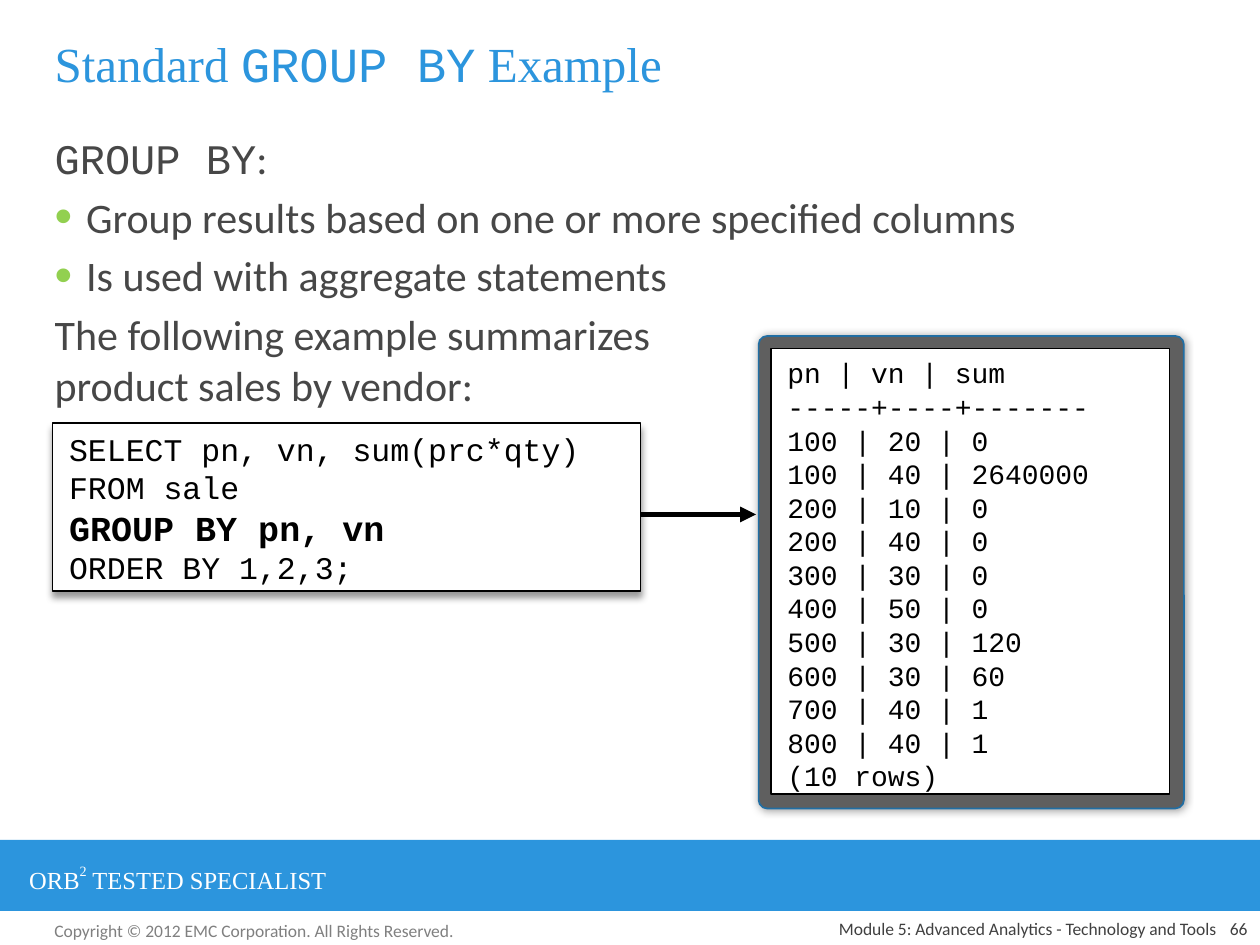
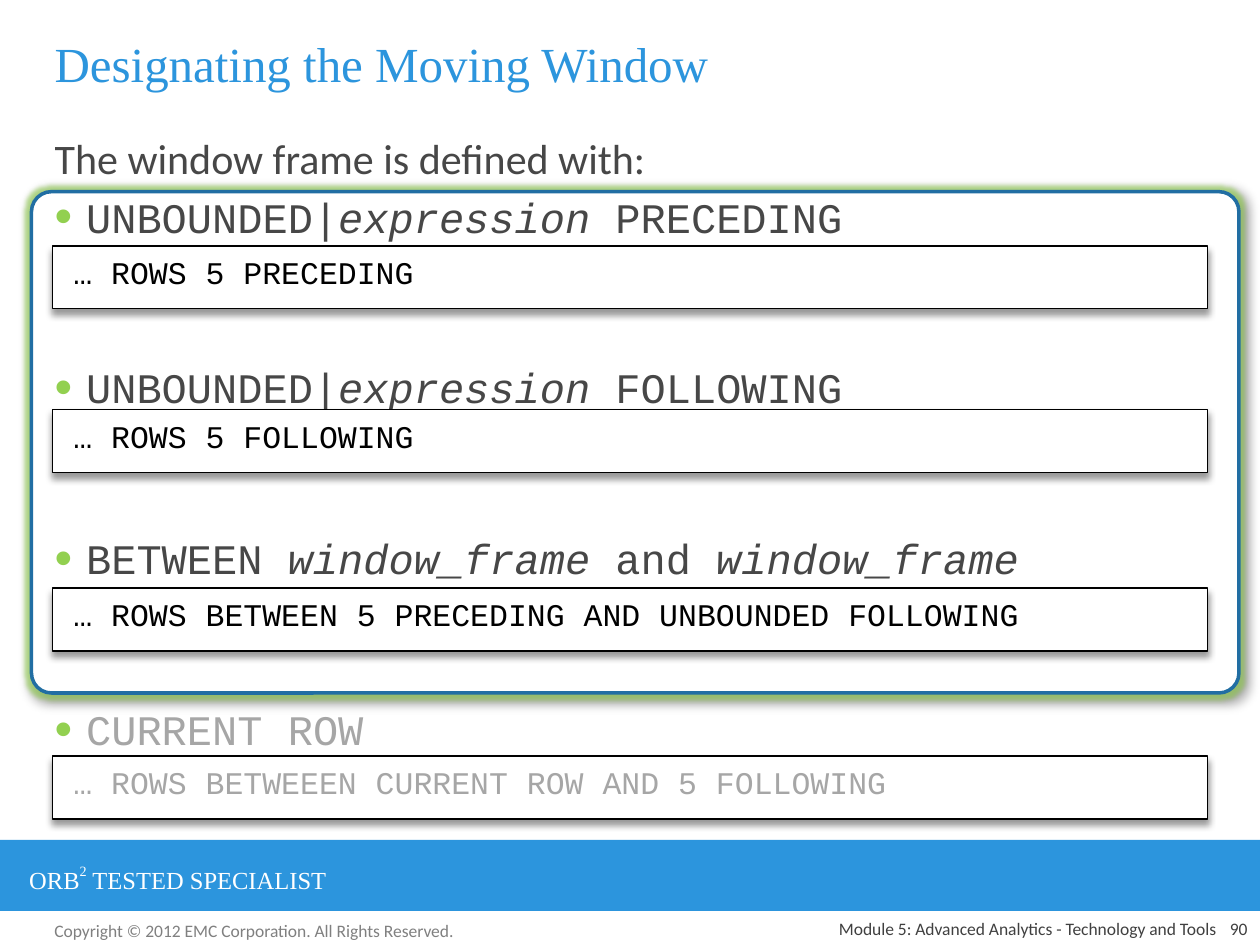
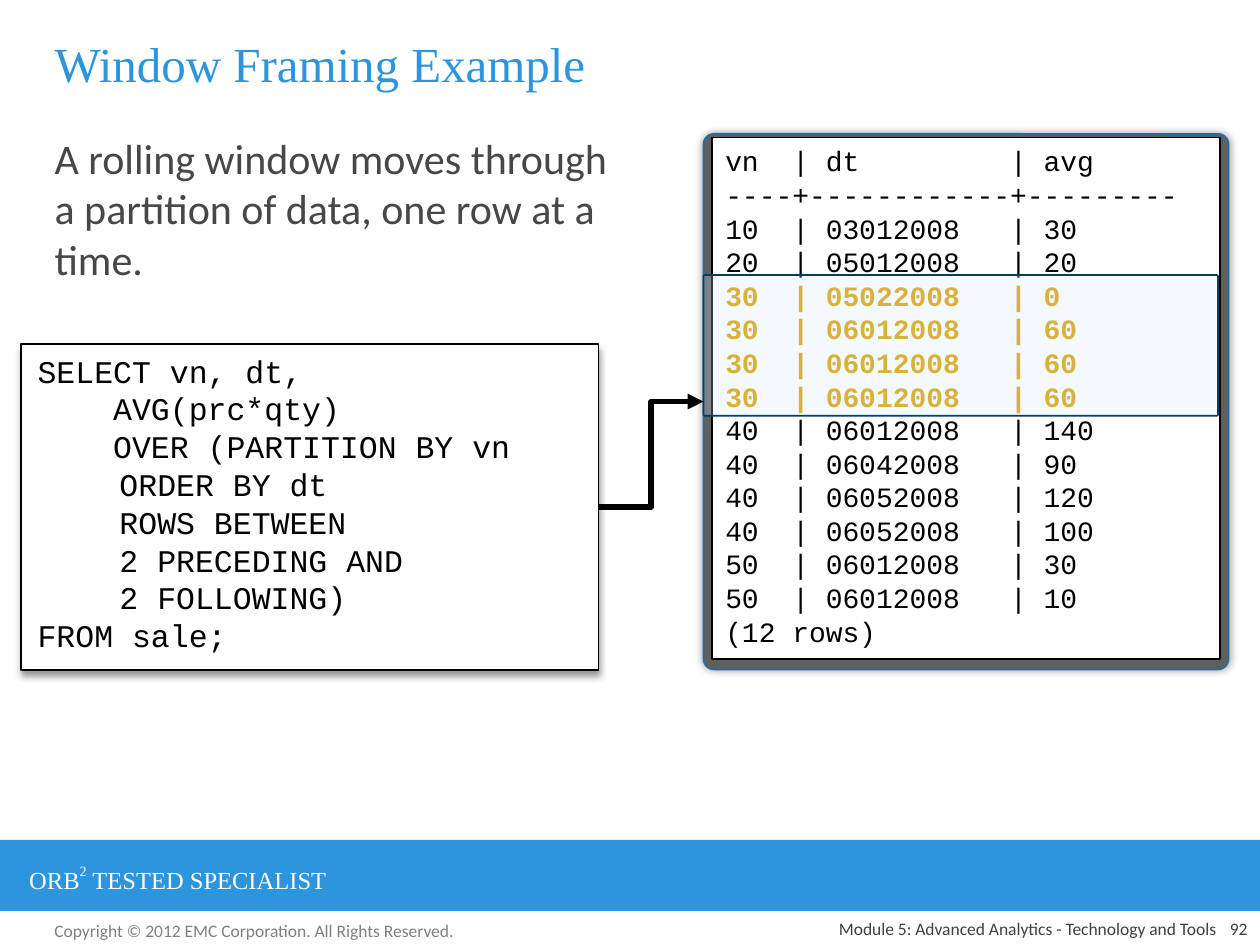
"""Build three slides on SQL grouping and window framing."""
import pptx
import pptx.dml.color
import pptx.enum.shapes
import pptx.enum.text
import pptx.oxml
import pptx.oxml.ns
import pptx.util

COLUMNS, ROWS = 120, 90
UNIT = pptx.util.Inches(10) // COLUMNS

BLUE, WHITE, BLACK, TEXT = "2C95DD", "FFFFFF", "000000", "474747"
GREEN, EDGE, PANEL, FADED, GOLD = "92D050", "216EA3", "5F5F5F", "A6A6A6", "DBA000"

SERIF, SANS, MONO = "Times New Roman", "Calibri", "Courier New"
TITLE = {"name": SERIF, "size": 28, "color": BLUE}
BODY = {"name": SANS, "size": 24, "color": TEXT}
CODE = {"name": MONO, "size": 18, "color": BLACK}
OUTPUT = {**CODE, "size": 16}
BRAND = {"name": SERIF, "size": 14, "color": WHITE}
COPYRIGHT = {"name": SANS, "size": 10, "color": "808080"}
FOOTER = {**COPYRIGHT, "color": "404040"}
FIXED, SLANTED = {"name": MONO}, {"name": MONO, "italic": True}
BOLD, HIGHLIGHT = {"bold": True, "size": 20}, {"bold": True, "color": GOLD}

SHAPES = pptx.enum.shapes.MSO_SHAPE
ANCHOR = pptx.enum.text.MSO_ANCHOR
ALIGN = pptx.enum.text.PP_ALIGN
DROP = {"blur": 4, "distance": 3, "angle": 90}
DIAGONAL = {**DROP, "angle": 45}
HALO = {"blur": 5, "distance": 0, "angle": 0}
GAP, WIDE_GAP = 4.8, 68.8

GROUP_TITLE = [("Standard ", {}), ("GROUP BY", FIXED), (" Example", {})]
GROUP_BODY = [
    (False, 0, [("GROUP BY", FIXED), (":", {})]),
    (True, GAP, [("Group results based on one or more specified columns", {})]),
    (True, GAP, [("Is used with aggregate statements", {})]),
    (False, GAP, [("The following example summarizes\nproduct sales by vendor:", {})]),
]
GROUP_QUERY = [
    ("SELECT pn, vn, sum(prc*qty)", {}),
    ("FROM sale", {}),
    ("GROUP BY pn, vn", BOLD),
    ("ORDER BY 1,2,3;", {}),
]
GROUP_OUTPUT = [
    "pn | vn | sum",
    "-----+----+-------",
    "100 | 20 | 0",
    "100 | 40 | 2640000",
    "200 | 10 | 0",
    "200 | 40 | 0",
    "300 | 30 | 0",
    "400 | 50 | 0",
    "500 | 30 | 120",
    "600 | 30 | 60",
    "700 | 40 | 1",
    "800 | 40 | 1",
    "(10 rows)",
]

WINDOW_TITLE = [("Designating the Moving Window", {})]
WINDOW_BODY = [
    (False, 0, [("The window frame is defined with:", {})]),
    (True, GAP, [("UNBOUNDED|", FIXED), ("expression", SLANTED), (" PRECEDING", FIXED)]),
    (True, WIDE_GAP, [("UNBOUNDED|", FIXED), ("expression", SLANTED), (" FOLLOWING", FIXED)]),
    (True, WIDE_GAP, [("BETWEEN ", FIXED), ("window_frame", SLANTED),
                      (" and ", FIXED), ("window_frame", SLANTED)]),
    (True, WIDE_GAP, [("CURRENT ROW", {**FIXED, "color": FADED})]),
]
WINDOW_SAMPLES = [
    (23.4, "… ROWS 5 PRECEDING", {}),
    (39, "… ROWS 5 FOLLOWING", {}),
    (56, "… ROWS BETWEEN 5 PRECEDING AND UNBOUNDED FOLLOWING", {}),
    (72, "… ROWS BETWEEEN CURRENT ROW AND 5 FOLLOWING", {"color": FADED}),
]

FRAMING_TITLE = [("Window Framing Example", {})]
FRAMING_BODY = [
    (False, 0, [("A rolling window moves through\na partition of data, one row at a\ntime.", {})]),
]
FRAMING_QUERY = """SELECT vn, dt,
    AVG(prc*qty)
    OVER (PARTITION BY vn
\t ORDER BY dt
\t ROWS BETWEEN
\t 2 PRECEDING AND
\t 2 FOLLOWING)
FROM sale;"""
FRAMING_OUTPUT = [
    "vn  | dt         | avg",
    "----+------------+---------",
    "10  | 03012008   | 30",
    "20  | 05012008   | 20",
    "30  | 05022008   | 0",
    "30  | 06012008   | 60",
    "30  | 06012008   | 60",
    "30  | 06012008   | 60",
    "40  | 06012008   | 140",
    "40  | 06042008   | 90",
    "40  | 06052008   | 120",
    "40  | 06052008   | 100",
    "50  | 06012008   | 30",
    "50  | 06012008   | 10",
    "(12 rows)",
]


def grid(*cells):
    return [round(cell * UNIT) for cell in cells]


def rgb(color):
    return pptx.dml.color.RGBColor.from_string(color)


def apply(target, values):
    for name, value in values.items():
        setattr(target, name, value)


def add_xml(parent, markup):
    head, tail = markup.split(" ", 1)
    namespace = pptx.oxml.ns.nsdecls("a")
    parent.append(pptx.oxml.parse_xml(f"{head} {namespace} {tail}"))


def write(para, spans, base):
    for text, changes in spans:
        values = {**base, **changes}
        color, size = values.pop("color"), values.pop("size")
        baseline = values.pop("baseline", None)
        for index, line in enumerate(text.split("\n")):
            if index:
                para.add_line_break()
            span = para.add_run()
            span.text = line
            apply(span.font, {**values, "size": pptx.util.Pt(size)})
            span.font.color.rgb = rgb(color)
            if baseline:
                span._r.get_or_add_rPr().set("baseline", str(baseline * 1000))


def fill_frame(frame, paragraphs, base, anchor=ANCHOR.TOP, align=ALIGN.LEFT):
    apply(frame, {"word_wrap": True, "vertical_anchor": anchor,
                  "auto_size": pptx.enum.text.MSO_AUTO_SIZE.NONE})
    for index, spans in enumerate(paragraphs):
        para = frame.add_paragraph() if index else frame.paragraphs[0]
        para.alignment = align
        write(para, spans, base)


def add_text(slide, place, paragraphs, base, **layout):
    box = slide.shapes.add_textbox(*grid(*place))
    fill_frame(box.text_frame, paragraphs, base, **layout)


def add_box(slide, place, fill, line=BLACK, width=1, radius=None, shadow=None, glow=None, alpha=None):
    kind = SHAPES.RECTANGLE if radius is None else SHAPES.ROUNDED_RECTANGLE
    box = slide.shapes.add_shape(kind, *grid(*place))
    if radius is not None:
        box.adjustments[0] = radius
    box.shadow.inherit = False
    box.fill.solid()
    box.fill.fore_color.rgb = rgb(fill)
    if line:
        box.line.color.rgb = rgb(line)
        box.line.width = pptx.util.Pt(width)
    else:
        box.line.fill.background()
    properties = box.element.spPr
    if alpha:
        add_xml(properties.find(".//" + pptx.oxml.ns.qn("a:srgbClr")), f'<a:alpha val="{alpha * 1000}"/>')
    effects = properties.find(pptx.oxml.ns.qn("a:effectLst"))
    if glow:
        add_xml(effects, f'<a:glow rad="{pptx.util.Pt(5)}"><a:srgbClr val="{glow}">'
                         '<a:alpha val="60000"/></a:srgbClr></a:glow>')
    if shadow:
        blur, distance = pptx.util.Pt(shadow["blur"]), pptx.util.Pt(shadow["distance"])
        add_xml(effects, f'<a:outerShdw blurRad="{blur}" dist="{distance}" dir="{shadow["angle"] * 60000}" '
                         f'rotWithShape="0"><a:srgbClr val="{BLACK}"><a:alpha val="40000"/></a:srgbClr></a:outerShdw>')
    return box


def add_code(slide, place, paragraphs, inset=0.4):
    box = add_box(slide, place, WHITE, shadow=DROP)
    left, top, width, height = place
    add_text(slide, (left + inset, top + 0.1, width - 2 * inset, height), paragraphs, CODE)
    return box


def add_output(slide, panel_place, sheet_place, inset, paragraphs):
    panel = add_box(slide, panel_place, PANEL, EDGE, radius=0.02, shadow=HALO)
    add_box(slide, sheet_place, WHITE)
    left, top, width, height = sheet_place
    add_text(slide, (left + inset, top + inset / 4, width - inset, height), paragraphs, OUTPUT)
    return panel


def add_arrow(slide, kind, ends=(0, 0, 0, 0), joined=None):
    arrow = slide.shapes.add_connector(kind, *grid(*ends))
    if joined:
        source, target = joined
        arrow.begin_connect(source, 3)
        arrow.end_connect(target, 1)
    arrow.line.color.rgb = rgb(BLACK)
    arrow.line.width = pptx.util.Pt(3)
    properties = arrow.element.spPr
    add_xml(properties.find(pptx.oxml.ns.qn("a:ln")), '<a:tailEnd type="triangle"/>')
    add_xml(properties, "<a:effectLst />")


def fill_body(frame, content):
    fill_frame(frame, [spans for _, _, spans in content], BODY)
    for para, (bulleted, gap, _) in zip(frame.paragraphs, content):
        properties = para._p.get_or_add_pPr()
        indent = pptx.util.Inches(0.25) if bulleted else 0
        properties.set("marL", str(indent))
        properties.set("indent", str(-indent))
        if bulleted:
            for markup in (f'<a:buClr ><a:srgbClr val="{GREEN}"/></a:buClr>',
                           '<a:buSzPct val="120000"/>',
                           '<a:buFont typeface="Arial"/>',
                           '<a:buChar char="•"/>'):
                add_xml(properties, markup)
        else:
            add_xml(properties, "<a:buNone />")
        para.space_before = pptx.util.Pt(gap)


def start_slide(deck, title, body, number):
    slide = deck.slides.add_slide(deck.slide_layouts[1])
    heading, content = slide.placeholders
    for holder, place in ((heading, (4, 1, 111, 10)), (content, (4, 12, 111, 68))):
        apply(holder, dict(zip(("left", "top", "width", "height"), grid(*place))))
    fill_frame(heading.text_frame, [title], TITLE, anchor=ANCHOR.MIDDLE)
    fill_body(content.text_frame, body)
    add_box(slide, (0, 80, COLUMNS, 6.75), BLUE, line=None)
    brand = [("ORB", {}), ("2", {"baseline": 56}), (" TESTED SPECIALIST", {})]
    add_text(slide, (1.6, 81.5, 44.4, 4), [brand], BRAND)
    add_text(slide, (4, 87, 42, 3.2),
             [[("Copyright © 2012 EMC Corporation. All Rights Reserved.", {})]], COPYRIGHT)
    for place, text in (((114, 87, 6, 3), str(number)),
                        ((62, 87, 55, 3), "Module 5: Advanced Analytics - Technology and Tools")):
        add_text(slide, place, [[(text, {})]], FOOTER, anchor=ANCHOR.BOTTOM, align=ALIGN.RIGHT)
    return slide


def build_group_slide(deck):
    slide = start_slide(deck, GROUP_TITLE, GROUP_BODY, 66)
    add_code(slide, (5, 40.3, 56, 16), [[line] for line in GROUP_QUERY])
    add_output(slide, (72.25, 32, 40.5, 45), (73.4, 33.2, 38, 42.4), 0.4,
               [[(line, {})] for line in GROUP_OUTPUT])
    add_arrow(slide, pptx.enum.shapes.MSO_CONNECTOR.STRAIGHT, (61, 49, 72, 49))


def build_window_slide(deck):
    slide = start_slide(deck, WINDOW_TITLE, WINDOW_BODY, 90)
    frame = add_box(slide, (3, 18.25, 115, 47.75), WHITE, EDGE, 2, 0.04, DIAGONAL, GREEN)
    slide.shapes.element.insert(2, frame.element)
    for top, text, changes in WINDOW_SAMPLES:
        add_code(slide, (5, top, 110, 6), [[(text, changes)]], inset=0.8)


def build_framing_slide(deck):
    slide = start_slide(deck, FRAMING_TITLE, FRAMING_BODY, 92)
    lines = [[(line, HIGHLIGHT if line.startswith("30") else {})] for line in FRAMING_OUTPUT]
    panel = add_output(slide, (67, 12.75, 50, 51), (67.8, 13.1, 48.4, 49.7), 0.1, lines)
    add_box(slide, (67, 26.2, 49, 13.4), "D5EAF8", "003F62", radius=0.01, alpha=25)
    query = add_code(slide, (2, 32.8, 55, 31), [[(FRAMING_QUERY, {})]])
    add_arrow(slide, pptx.enum.shapes.MSO_CONNECTOR.ELBOW, joined=(query, panel))


def main():
    deck = pptx.Presentation()
    apply(deck, {"slide_width": COLUMNS * UNIT, "slide_height": ROWS * UNIT})
    for build in (build_group_slide, build_window_slide, build_framing_slide):
        build(deck)
    deck.save("out.pptx")


if __name__ == "__main__":
    main()
